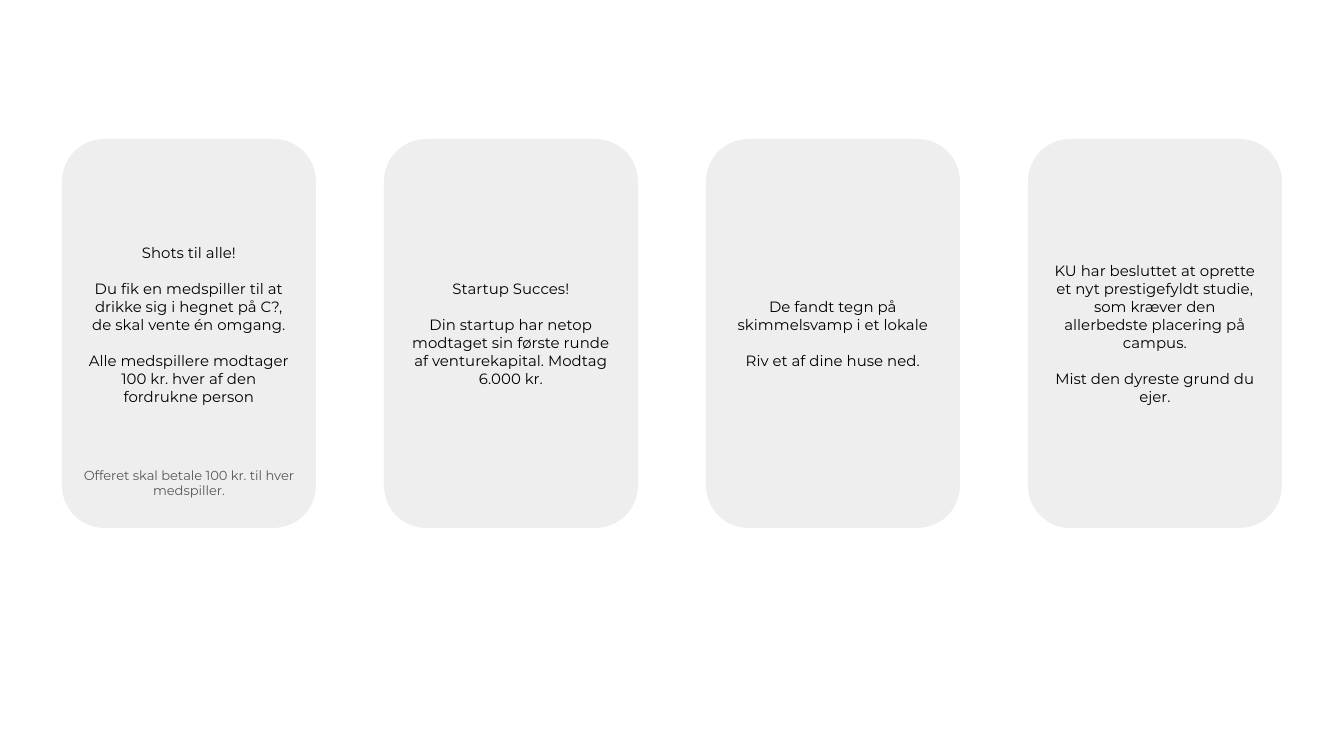
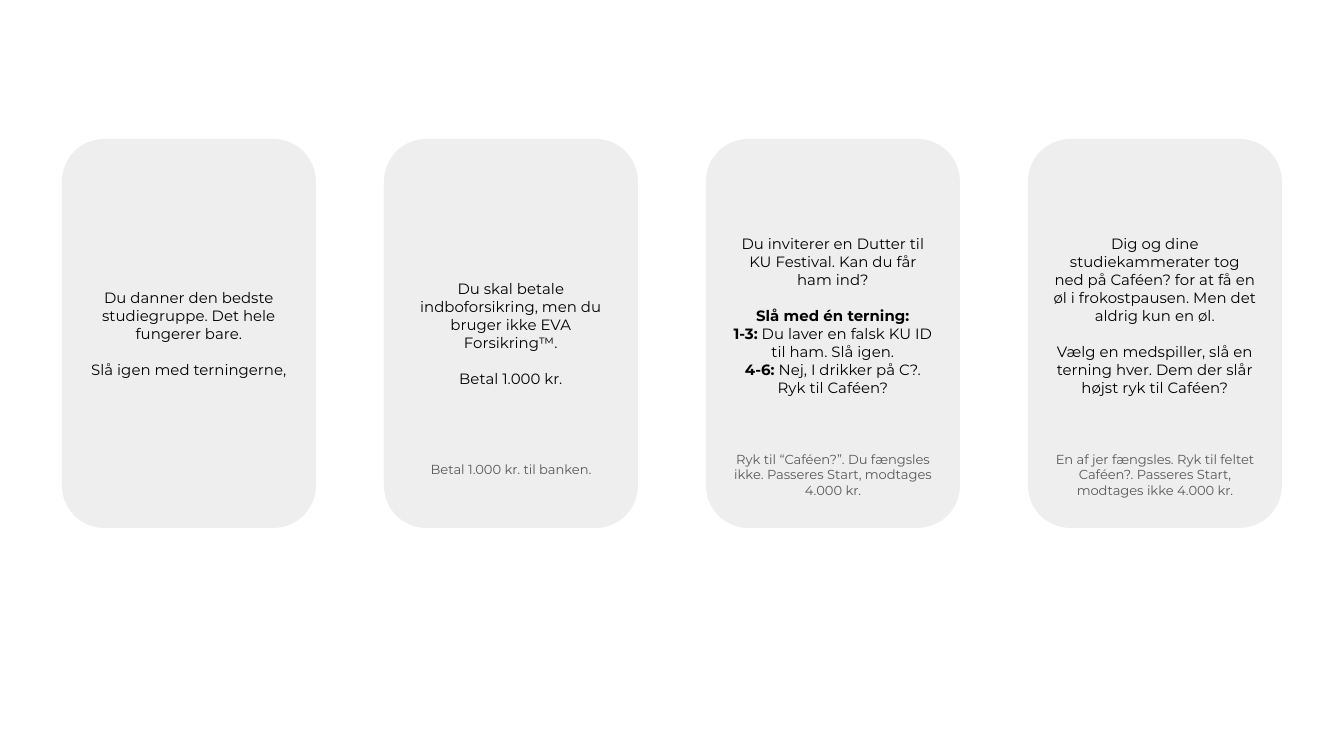
from dataclasses import dataclass

from pptx import Presentation
from pptx.dml.color import RGBColor
from pptx.enum.shapes import MSO_SHAPE
from pptx.enum.text import MSO_ANCHOR, MSO_AUTO_SIZE, PP_ALIGN
from pptx.slide import Slide
from pptx.text.text import TextFrame
from pptx.util import Emu, Pt

SLIDE_WIDTH, SLIDE_HEIGHT = 1344, 756
EMU_PER_PX = 9144000 / SLIDE_WIDTH

CARD_GREY = RGBColor(0xEE, 0xEE, 0xEE)
CARD_TEXT = RGBColor(0x00, 0x00, 0x00)
NOTE_TEXT = RGBColor(0x59, 0x59, 0x59)
FONT = "Montserrat"

CARD_LEFT, CARD_TOP = 62, 139
CARD_WIDTH, CARD_HEIGHT = 254, 389
CARD_PITCH = 322
INSET = 13
CARD_LINE, NOTE_LINE = 18, 16


@dataclass(frozen=True)
class Line:
    text: str
    lead: str = ""
    gap: bool = True


@dataclass(frozen=True)
class Note:
    text: str
    top: int
    rows: int
    width: int = 248


@dataclass(frozen=True)
class Card:
    lines: tuple[Line, ...]
    lifted_rows: int = 0
    note: Note | None = None


PARTY_CARDS = (
    Card(
        (
            Line("Shots til alle!"),
            Line("Du fik en medspiller til at drikke sig i hegnet på C?, de skal vente én omgang."),
            Line("Alle medspillere modtager 100 kr. hver af den fordrukne person"),
        ),
        lifted_rows=1,
        note=Note("Offeret skal betale 100 kr. til hver medspiller.", 454, 2, 274),
    ),
    Card((
        Line("Startup Succes!"),
        Line("Din startup har netop modtaget sin første runde af venturekapital. Modtag 6.000 kr."),
    )),
    Card((
        Line("De fandt tegn på skimmelsvamp i et lokale"),
        Line("Riv et af dine huse ned."),
    )),
    Card((
        Line("KU har besluttet at oprette et nyt prestigefyldt studie, som kræver den "
             "allerbedste placering på campus."),
        Line("Mist den dyreste grund du ejer."),
    )),
)

STUDY_CARDS = (
    Card((
        Line("Du danner den bedste studiegruppe. Det hele fungerer bare."),
        Line("Slå igen med terningerne,"),
    )),
    Card(
        (
            Line("Du skal betale indboforsikring, men du bruger ikke EVA Forsikring™."),
            Line("Betal 1.000 kr."),
        ),
        note=Note("Betal 1.000 kr. til banken.", 454, 1),
    ),
    Card(
        (
            Line("Du inviterer en Dutter til KU Festival. Kan du får ham ind?"),
            Line("", lead="Slå med én terning:"),
            Line(" Du laver en falsk KU ID til ham. Slå igen.", lead="1-3:", gap=False),
            Line(" Nej, I drikker på C?. Ryk til Caféen?", lead="4-6:", gap=False),
        ),
        lifted_rows=2,
        note=Note("Ryk til “Caféen?”. Du fængsles ikke. Passeres Start, modtages 4.000 kr.", 438, 3),
    ),
    Card(
        (
            Line("Dig og dine studiekammerater tog ned på Caféen? for at få en øl i "
                 "frokostpausen. Men det aldrig kun en øl."),
            Line("Vælg en medspiller, slå en terning hver. Dem der slår højst ryk til Caféen?"),
        ),
        lifted_rows=2,
        note=Note("En af jer fængsles. Ryk til feltet Caféen?. Passeres Start, "
                  "modtages ikke 4.000 kr.", 438, 3),
    ),
)


def px(length: int) -> Emu:
    return Emu(round(length * EMU_PER_PX))


def write_lines(frame: TextFrame, lines: tuple[Line, ...], size: int, color: RGBColor) -> None:
    frame.word_wrap = True
    frame.margin_left = frame.margin_right = px(INSET)
    frame.margin_top = frame.margin_bottom = px(INSET)
    for index, line in enumerate(lines):
        paragraph = frame.add_paragraph() if index else frame.paragraphs[0]
        paragraph.text = line.lead or line.text
        paragraph.alignment = PP_ALIGN.CENTER
        if index and line.gap:
            paragraph.space_before = px(CARD_LINE)
        if line.lead:
            paragraph.runs[0].font.bold = True
            if line.text:
                paragraph.add_run().text = line.text
        for run in paragraph.runs:
            run.font.name = FONT
            run.font.size = Pt(size)
            run.font.color.rgb = color


def draw_card(slide: Slide, card: Card, left: int) -> None:
    panel = slide.shapes.add_shape(
        MSO_SHAPE.ROUNDED_RECTANGLE, px(left), px(CARD_TOP), px(CARD_WIDTH), px(CARD_HEIGHT)
    )
    panel.shadow.inherit = False
    panel.fill.solid()
    panel.fill.fore_color.rgb = CARD_GREY
    panel.line.fill.background()
    write_lines(panel.text_frame, card.lines, 8, CARD_TEXT)
    panel.text_frame.vertical_anchor = MSO_ANCHOR.MIDDLE
    panel.text_frame.margin_bottom = px(INSET + card.lifted_rows * CARD_LINE)


def draw_note(slide: Slide, note: Note, card_left: int) -> None:
    left = card_left + (CARD_WIDTH - note.width) // 2
    height = 2 * INSET + note.rows * NOTE_LINE
    caption = slide.shapes.add_textbox(px(left), px(note.top), px(note.width), px(height))
    write_lines(caption.text_frame, (Line(note.text),), 7, NOTE_TEXT)
    caption.text_frame.auto_size = MSO_AUTO_SIZE.SHAPE_TO_FIT_TEXT


def main() -> None:
    deck = Presentation()
    deck.slide_width, deck.slide_height = px(SLIDE_WIDTH), px(SLIDE_HEIGHT)
    for cards in (PARTY_CARDS, STUDY_CARDS):
        slide = deck.slides.add_slide(deck.slide_layouts[6])
        for column, card in enumerate(cards):
            left = CARD_LEFT + column * CARD_PITCH
            draw_card(slide, card, left)
            if card.note:
                draw_note(slide, card.note, left)
    deck.save("out.pptx")


if __name__ == "__main__":
    main()
